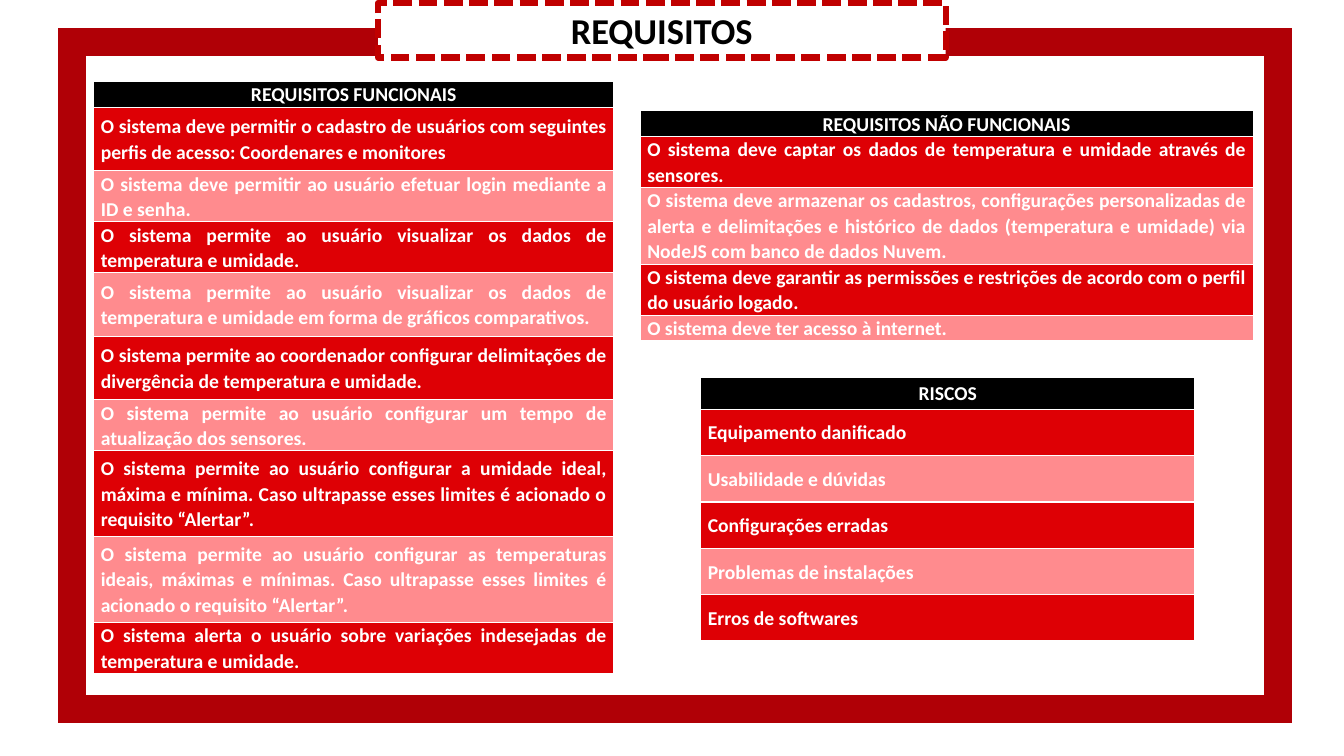
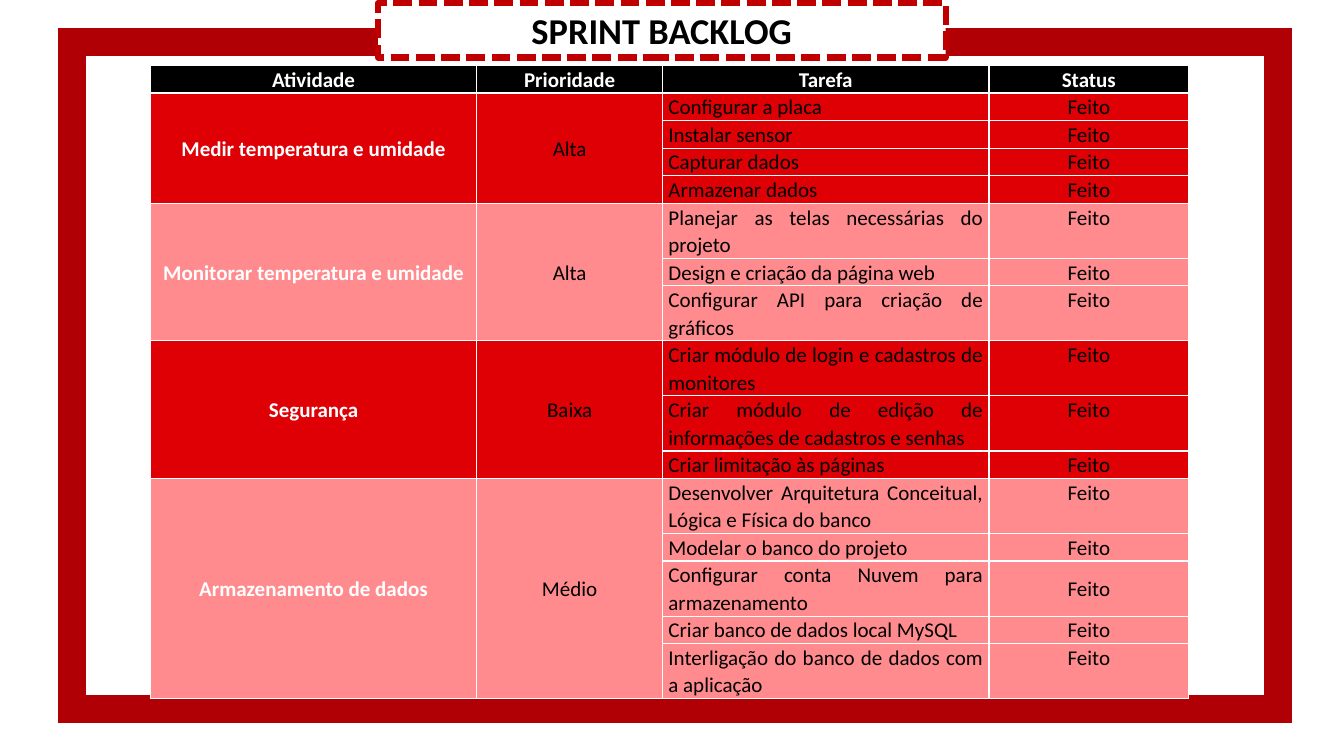
from lxml.etree import SubElement
from pptx import Presentation
from pptx.dml.color import RGBColor
from pptx.enum.dml import MSO_LINE
from pptx.enum.shapes import MSO_SHAPE
from pptx.enum.text import MSO_ANCHOR, MSO_AUTO_SIZE, PP_ALIGN
from pptx.oxml.ns import qn
from pptx.util import Inches, Pt

COLORS = {k: RGBColor.from_string(v) for k, v in {
    "frame": "B00006", "dash": "C00000", "red": "DE0005",
    "pink": "FF8B8E", "black": "000000", "white": "FFFFFF"}.items()}
BANDS = ("red", "pink")
FONT = "Calibri"
TOP, MIDDLE = MSO_ANCHOR.TOP, MSO_ANCHOR.MIDDLE
LEFT, CENTER, JUSTIFY = PP_ALIGN.LEFT, PP_ALIGN.CENTER, PP_ALIGN.JUSTIFY

prs = Presentation()
prs.slide_width, prs.slide_height = Inches(13.33), Inches(7.5)


def add_slide(title):
    """Slide with the red frame and the dashed title band over it."""
    s = prs.slides.add_slide(prs.slide_layouts[5])
    frame = s.shapes.add_shape(MSO_SHAPE.RECTANGLE, Inches(0.71), Inches(0.42),
                               Inches(11.97), Inches(6.61))
    frame.shadow.inherit = False
    frame.fill.background()
    frame.line.color.rgb = COLORS["frame"]
    frame.line.width = Pt(20)
    SubElement(frame.element.spPr.find(qn("a:ln")), qn("a:miter"), lim="800000")

    band = s.shapes.title
    band.left, band.top = Inches(3.75), Inches(0.03)
    band.width, band.height = Inches(5.63), Inches(0.54)
    band.fill.solid()
    band.fill.fore_color.rgb = COLORS["white"]
    band.line.color.rgb = COLORS["dash"]
    band.line.width = Pt(4.5)
    band.line.dash_style = MSO_LINE.SQUARE_DOT
    band.element.getparent().append(band.element)  # bring to front
    tf = band.text_frame
    tf.text = title
    tf.auto_size = MSO_AUTO_SIZE.NONE
    tf.vertical_anchor = MIDDLE
    p = tf.paragraphs[0]
    p.alignment = CENTER
    p.font.name, p.font.size, p.font.bold = FONT, Pt(26), True
    p.font.color.rgb = COLORS["black"]
    return s


def write(cell, text, fill, align, size=14, color="white", bold=True, anchor=MIDDLE, inset=0.07):
    cell.fill.solid()
    cell.fill.fore_color.rgb = COLORS[fill]
    cell.vertical_anchor = anchor
    cell.margin_left = cell.margin_right = Inches(inset)
    cell.margin_top = cell.margin_bottom = 0
    p = cell.text_frame.paragraphs[0]
    p.text = text
    p.alignment, p.line_spacing = align, 1.07
    p.font.name, p.font.size, p.font.bold = FONT, Pt(size), bold
    p.font.color.rgb = COLORS[color]


# Slide 1: requirements and risks, one column per table
s = add_slide("REQUISITOS")
lists = [
    # left, top, width, alignment, anchor, header, header height, rows
    (6.35, 1.1, 6.08, JUSTIFY, TOP, "REQUISITOS NÃO FUNCIONAIS", 0.24, [
        ("O sistema deve captar os dados de temperatura e umidade através de sensores.", 0.48),
        ("O sistema deve armazenar os cadastros, configurações personalizadas de alerta e "
         "delimitações e histórico de dados (temperatura e umidade) via NodeJS com banco de "
         "dados Nuvem.", 0.73),
        ("O sistema deve garantir as permissões e restrições de acordo com o perfil do "
         "usuário logado.", 0.48),
        ("O sistema deve ter acesso à internet.", 0.24),
    ]),
    (6.95, 3.74, 4.9, LEFT, MIDDLE, "RISCOS", 0.32, [
        ("Equipamento danificado", 0.46),
        ("Usabilidade e dúvidas", 0.46),
        ("Configurações erradas", 0.46),
        ("Problemas de instalações", 0.46),
        ("Erros de softwares", 0.46),
    ]),
    (0.93, 0.81, 5.16, JUSTIFY, MIDDLE, "REQUISITOS FUNCIONAIS", 0.2, [
        ("O sistema deve permitir o cadastro de usuários com seguintes perfis de acesso: "
         "Coordenares e monitores", 0.63),
        ("O sistema deve permitir ao usuário efetuar login mediante a ID e senha.", 0.42),
        ("O sistema permite ao usuário visualizar os dados de temperatura e umidade.", 0.42),
        ("O sistema permite ao usuário visualizar os dados de temperatura e umidade em forma "
         "de gráficos comparativos.", 0.63),
        ("O sistema permite ao coordenador configurar delimitações de divergência de "
         "temperatura e umidade.", 0.63),
        ("O sistema permite ao usuário configurar um tempo de atualização dos sensores.", 0.42),
        ("O sistema permite ao usuário configurar a umidade ideal, máxima e mínima. Caso "
         "ultrapasse esses limites é acionado o requisito “Alertar”.", 0.85),
        ("O sistema permite ao usuário configurar as temperaturas ideais, máximas e mínimas. "
         "Caso ultrapasse esses limites é acionado o requisito “Alertar”.", 0.85),
        ("O sistema alerta o usuário sobre variações indesejadas de temperatura e umidade.",
         0.42),
    ]),
]
for left, top, width, align, anchor, header, header_h, rows in lists:
    heights = [header_h] + [h for _, h in rows]
    tbl = s.shapes.add_table(len(heights), 1, Inches(left), Inches(top),
                             Inches(width), Inches(sum(heights))).table
    for row, h in zip(tbl.rows, heights):
        row.height = Inches(h)
    write(tbl.cell(0, 0), header, "black", CENTER)
    for i, (text, _) in enumerate(rows):
        write(tbl.cell(i + 1, 0), text, BANDS[i % 2], align, anchor=anchor)

# Slide 2: backlog, tasks grouped by activity
s = add_slide("SPRINT BACKLOG")
SINGLE, DOUBLE = 0.26, 0.54
headers = ["Atividade", "Prioridade", "Tarefa", "Status"]
widths = [3.24, 1.84, 3.24, 1.98]
groups = [
    # activity, priority, tasks (text, row height, status anchor)
    ("Medir temperatura e umidade", "Alta", [
        ("Configurar a placa", SINGLE, MIDDLE),
        ("Instalar sensor", SINGLE, MIDDLE),
        ("Capturar dados", SINGLE, TOP),
        ("Armazenar dados", SINGLE, TOP)]),
    ("Monitorar temperatura e umidade", "Alta", [
        ("Planejar as telas necessárias do projeto", DOUBLE, TOP),
        ("Design e criação da página web", SINGLE, TOP),
        ("Configurar API para criação de gráficos", DOUBLE, TOP)]),
    ("Segurança", "Baixa", [
        ("Criar módulo de login e cadastros de monitores", DOUBLE, TOP),
        ("Criar módulo de edição de informações de cadastros e senhas", DOUBLE, TOP),
        ("Criar limitação às páginas", SINGLE, TOP)]),
    ("Armazenamento de dados", "Médio", [
        ("Desenvolver Arquitetura Conceitual, Lógica e Física do banco", DOUBLE, TOP),
        ("Modelar o banco do projeto", SINGLE, TOP),
        ("Configurar conta Nuvem para armazenamento", DOUBLE, MIDDLE),
        ("Criar banco de dados local MySQL", SINGLE, TOP),
        ("Interligação do banco de dados com a aplicação", DOUBLE, TOP)]),
]
heights = [SINGLE] + [h for _, _, tasks in groups for _, h, _ in tasks]
tbl = s.shapes.add_table(len(heights), len(widths), Inches(1.49), Inches(0.65),
                         Inches(sum(widths)), Inches(sum(heights))).table
for col, w in zip(tbl.columns, widths):
    col.width = Inches(w)
for row, h in zip(tbl.rows, heights):
    row.height = Inches(h)
for c, header in enumerate(headers):
    write(tbl.cell(0, c), header, "black", CENTER, 15, anchor=TOP, inset=0.06)

first = 1
for g, (activity, priority, tasks) in enumerate(groups):
    fill = BANDS[g % 2]
    last = first + len(tasks) - 1
    for c in (0, 1):
        tbl.cell(first, c).merge(tbl.cell(last, c))
    write(tbl.cell(first, 0), activity, fill, CENTER, 15, inset=0.06)
    write(tbl.cell(first, 1), priority, fill, CENTER, 15, "black", False, inset=0.06)
    for r, (task, _, anchor) in enumerate(tasks, first):
        write(tbl.cell(r, 2), task, fill, JUSTIFY, 15, "black", False, TOP, 0.06)
        write(tbl.cell(r, 3), "Feito", fill, CENTER, 15, "black", False, anchor, 0.06)
    first = last + 1

prs.save("out.pptx")
